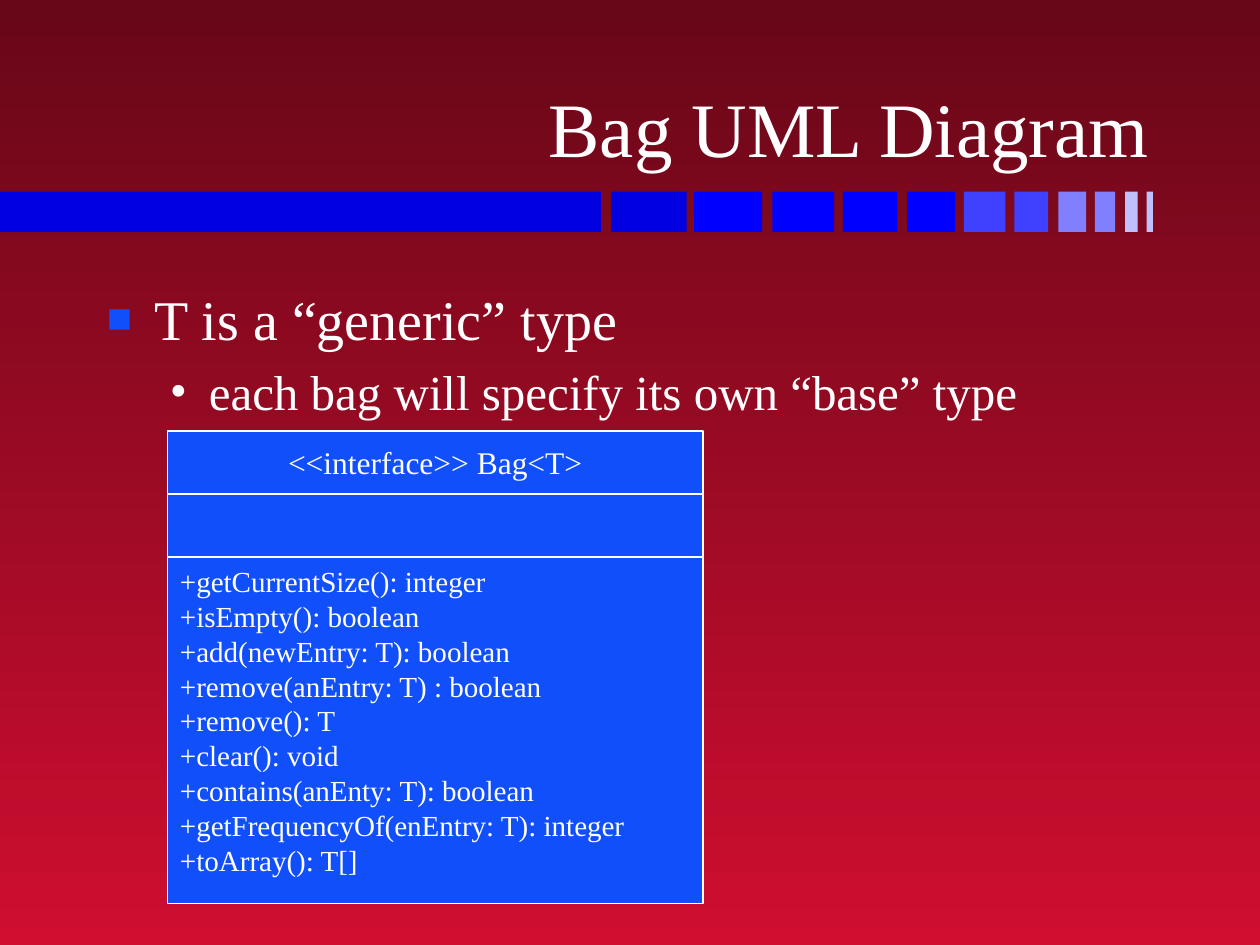
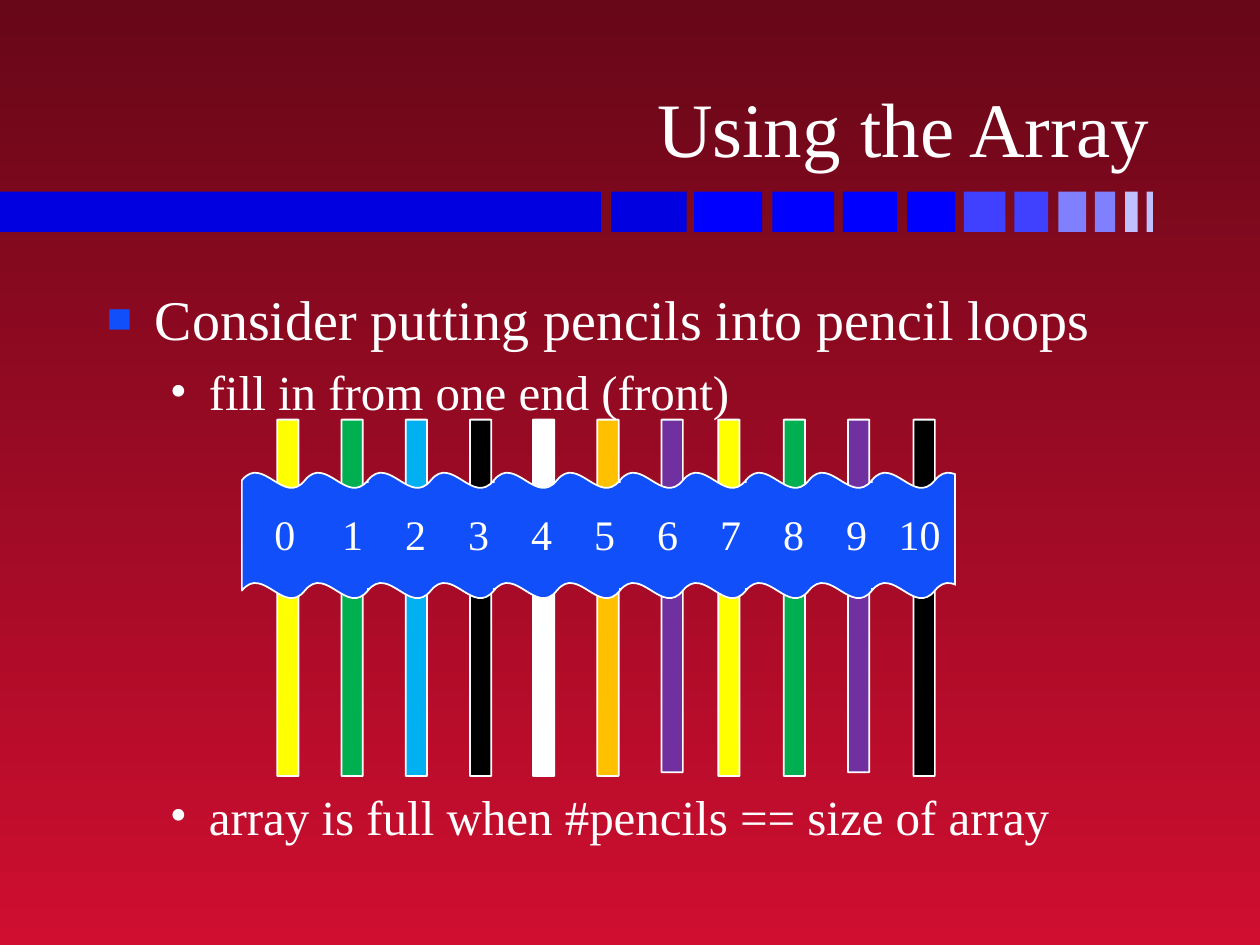
from lxml import etree
from pptx import Presentation
from pptx import util as u
from pptx.dml.color import RGBColor
from pptx.enum import shapes, text
from pptx.oxml.ns import qn

FONT = "Times New Roman"
WHITE, BLUE, BLACK = "FFFFFF", "114FFB", "000000"
YELLOW, GREEN, PURPLE = "FFFF00", "00B050", "7030A0"
BAND = [(0, 4.77, "0000E0"), (4.85, 0.6, "0000E0"), (5.51, 0.54, "0000FF"),
        (6.13, 0.49, "0000FF"), (6.69, 0.43, "0000FF"), (7.2, 0.38, "0000FF"),
        (7.65, 0.33, "4040FF"), (8.05, 0.27, "4040FF"), (8.4, 0.22, "8080FF"),
        (8.69, 0.16, "8080FF"), (8.93, 0.1, "C0C0FF"), (9.1, 0.05, "C0C0FF")]
# Bullet levels: mark, colour, size in percent, margin, hang, font size
LEVELS = [("■", BLUE, 75, 0.38, 0.38, 32), ("•", WHITE, 100, 0.81, 0.31, 28)]

# Each slide: title, then bullets as level, space before, wording
PAGES = [
    ("Bag UML Diagram", [
        (0, 0, "T is a “generic” type"),
        (1, 5.5, "each bag will specify its own “base” type")]),
    ("Using the Array", [
        (0, 0, "Consider putting pencils into pencil loops"),
        (1, 5.5, "fill in from one end (front)"),
        (1, 209, "array is full when #pencils == size of array")]),
]


def paint(item, hue):
    """Give a fill, line or font one solid colour."""
    if hasattr(item, "solid"):
        item.solid()
        item.fore_color.rgb = RGBColor.from_string(hue)
    else:
        item.color.rgb = RGBColor.from_string(hue)


def write(par, words, size):
    """Add one white run to a paragraph."""
    run = par.add_run()
    run.text = words
    run.font.name, run.font.size = FONT, u.Pt(size)
    paint(run.font, WHITE)


deck = Presentation()
deck.slide_width, deck.slide_height = u.Inches(10), u.Inches(7.5)
pages = []

# Shared background, band, title and bullets
for title, points in PAGES:
    page = deck.slides.add_slide(deck.slide_layouts[6])
    pages.append(page)
    back = page.background.fill
    back.gradient()
    back.gradient_angle = 270
    for stop, hue in zip(back.gradient_stops, ("670718", "CF0E30")):
        stop.color.rgb = RGBColor.from_string(hue)

    for left, width, hue in BAND:
        block = page.shapes.add_shape(
            shapes.MSO_SHAPE.RECTANGLE, u.Inches(left), u.Inches(1.52),
            u.Inches(width), u.Inches(0.32))
        block.shadow.inherit = False
        paint(block.fill, hue)
        block.line.fill.background()

    head = page.shapes.add_textbox(
        u.Inches(0.74), u.Inches(0.19), u.Inches(8.48), u.Inches(1.23)).text_frame
    head.word_wrap = True
    head.vertical_anchor = text.MSO_ANCHOR.BOTTOM
    head.paragraphs[0].alignment = text.PP_ALIGN.RIGHT
    write(head.paragraphs[0], title, 44)

    body = page.shapes.add_textbox(
        u.Inches(0.75), u.Inches(2.21), u.Inches(8.5), u.Inches(4.5)).text_frame
    body.word_wrap = True
    for i, (level, gap, words) in enumerate(points):
        par = body.add_paragraph() if i else body.paragraphs[0]
        mark, hue, scale, margin, hang, size = LEVELS[level]
        par.level = level
        props = par._p.get_or_add_pPr()
        props.set("marL", str(u.Inches(margin)))
        props.set("indent", str(-u.Inches(hang)))
        tint = etree.SubElement(props, qn("a:buClr"))
        etree.SubElement(tint, qn("a:srgbClr"), val=hue)
        etree.SubElement(props, qn("a:buSzPct"), val=str(scale * 1000))
        etree.SubElement(props, qn("a:buFont"), typeface=FONT)
        etree.SubElement(props, qn("a:buChar"), char=mark)
        par.space_before = u.Pt(gap)
        write(par, words, size)

uml, loops = pages

# UML class box: name, fields, methods
METHODS = ["+getCurrentSize(): integer", "+isEmpty(): boolean",
           "+add(newEntry: T): boolean", "+remove(anEntry: T) : boolean",
           "+remove(): T", "+clear(): void", "+contains(anEnty: T): boolean",
           "+getFrequencyOf(enEntry: T): integer", "+toArray(): T[]"]
top = 3.42
for height, lines in [(0.5, ["<<interface>> Bag<T>"]), (0.5, []), (2.75, METHODS)]:
    part = uml.shapes.add_shape(
        shapes.MSO_SHAPE.RECTANGLE, u.Inches(1.33), u.Inches(top),
        u.Inches(4.25), u.Inches(height))
    top += height
    part.shadow.inherit = False
    paint(part.fill, BLUE)
    paint(part.line.fill, WHITE)
    part.line.width = u.Pt(1)
    frame = part.text_frame
    name = len(lines) == 1
    frame.vertical_anchor = text.MSO_ANCHOR.MIDDLE if name else text.MSO_ANCHOR.TOP
    for i, words in enumerate(lines):
        par = frame.add_paragraph() if i else frame.paragraphs[0]
        par.alignment = text.PP_ALIGN.CENTER if name else text.PP_ALIGN.LEFT
        if not name:
            par.line_spacing = u.Pt(19.95)
        write(par, words, 18 if name else 16.6)

# Pencils; the purple ones are a little shorter
PENCILS = [(2.2, YELLOW), (2.71, GREEN), (3.22, "00B0F0"), (3.73, BLACK),
           (4.23, WHITE), (4.74, "FFC000"), (5.25, PURPLE), (5.7, YELLOW),
           (6.22, GREEN), (6.73, PURPLE), (7.25, BLACK)]
for left, hue in PENCILS:
    pencil = loops.shapes.add_shape(
        shapes.MSO_SHAPE.CAN, u.Inches(left), u.Inches(3.33),
        u.Inches(0.17), u.Inches(2.8 if hue == PURPLE else 2.83))
    pencil.adjustments[0] = 0.015
    pencil.shadow.inherit = False
    paint(pencil.fill, hue)
    paint(pencil.line.fill, WHITE)
    pencil.line.width = u.Pt(1)

# Cloth band: six waves, the last cut short by a patch of background
START, COUNT = 1.92, 6
for i in range(COUNT):
    wave = loops.shapes.add_shape(
        shapes.MSO_SHAPE.DOUBLE_WAVE, u.Inches(START + i), u.Inches(3.75),
        u.Inches(1), u.Inches(1))
    wave.shadow.inherit = False
    paint(wave.fill, BLUE)
    paint(wave.line.fill, WHITE)
    wave.line.width = u.Pt(1)
patch = loops.shapes.add_shape(
    shapes.MSO_SHAPE.RECTANGLE, u.Inches(7.59), u.Inches(3.75),
    u.Inches(0.5), u.Inches(1.08))
patch.shadow.inherit = False
patch.line.fill.background()
patch._element.set("useBgFill", "1")

# White end edge, and blue lines that hide the seams
seams = [(START + i, 3.83, 4.67, BLUE) for i in range(1, COUNT)]
for x, high, low, hue in [(7.58, 3.77, 4.64, WHITE)] + seams:
    seam = loops.shapes.add_connector(
        shapes.MSO_CONNECTOR.STRAIGHT, u.Inches(x), u.Inches(high),
        u.Inches(x), u.Inches(low))
    paint(seam.line.fill, hue)
    seam.line.width = u.Pt(1)
    etree.SubElement(seam._element.spPr, qn("a:effectLst"))

# Index numbers on centred tab stops
row = loops.shapes.add_textbox(
    u.Inches(2.08), u.Inches(3.99), u.Inches(5.67), u.Inches(0.5)).text_frame
row.word_wrap = True
par = row.paragraphs[0]
tabs = etree.SubElement(par._p.get_or_add_pPr(), qn("a:tabLst"))
for i in range(1, 11):
    etree.SubElement(tabs, qn("a:tab"), pos=str(u.Inches(0.12 + 0.5 * i)), algn="ctr")
write(par, "\t".join(str(i) for i in range(11)), 24)

deck.save("out.pptx")
